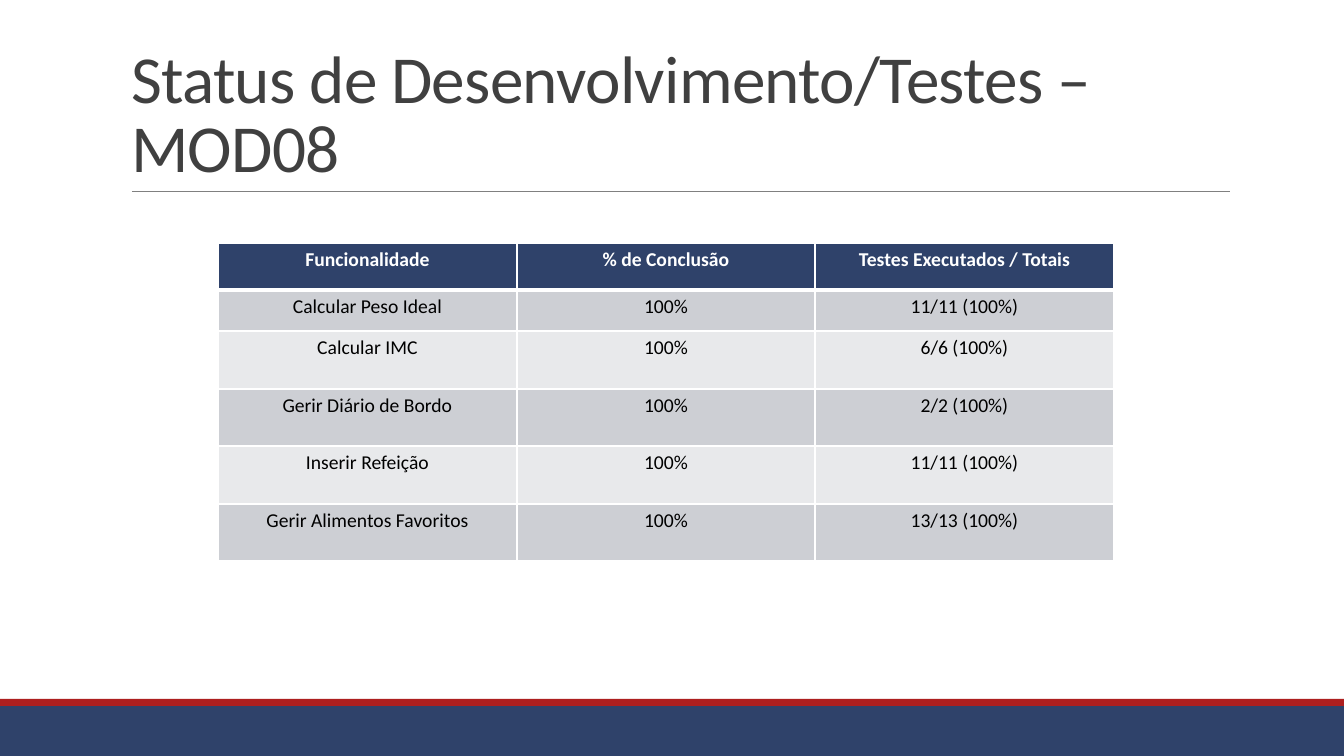
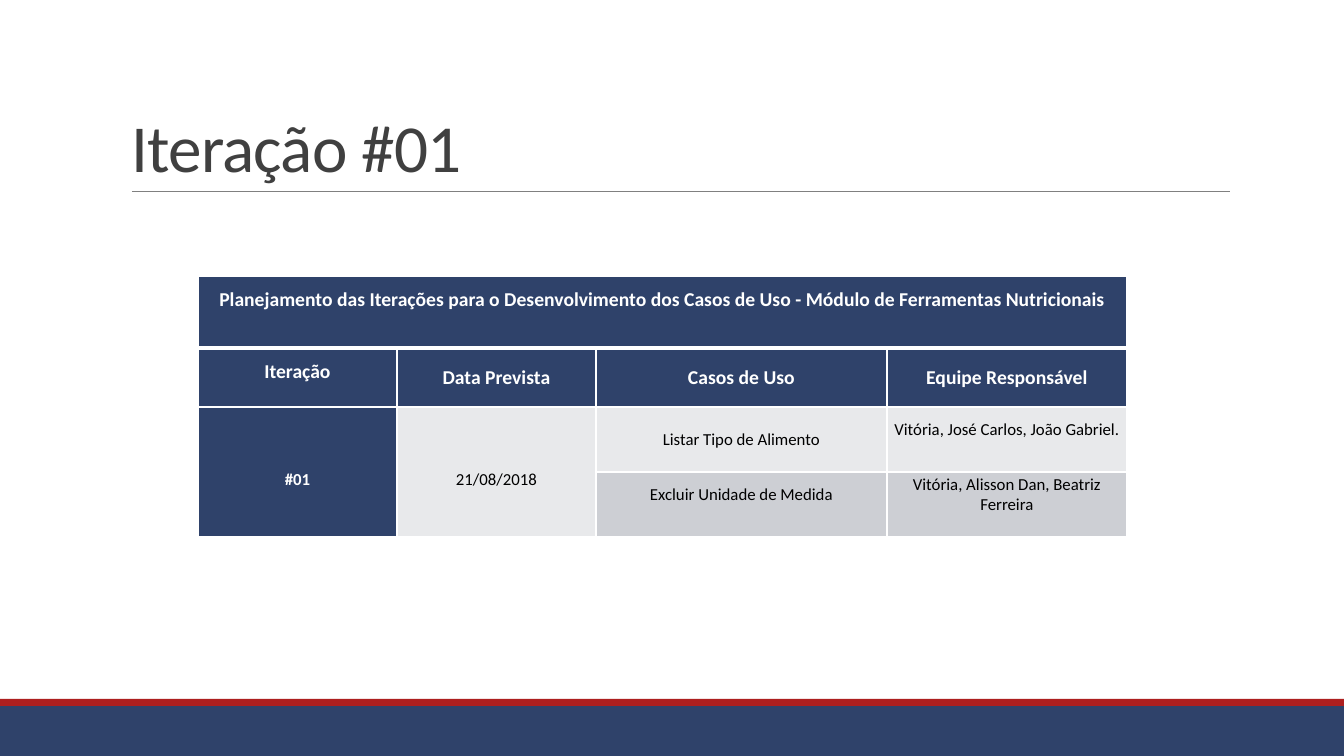
from dataclasses import dataclass
from typing import Optional

from lxml import etree
from pptx import Presentation
from pptx import util as u
from pptx.dml import color as colors
from pptx.enum import shapes, text
from pptx.oxml import ns

SLIDE_WIDTH, SLIDE_HEIGHT = 1344, 756
EMU_PER_PX = 12192000 / SLIDE_WIDTH
FONT = "Calibri"
NAVY, RED, RULE = "2F426A", "AD1F1F", "808080"
WHITE, BLACK, TITLE = "FFFFFF", "000000", "404040"
DARK_BAND, LIGHT_BAND = "CDCFD4", "E8E9EB"
TOP, MIDDLE, BOTTOM = text.MSO_ANCHOR.TOP, text.MSO_ANCHOR.MIDDLE, text.MSO_ANCHOR.BOTTOM


@dataclass(frozen=True)
class Band:
    top: int
    height: int
    fill: str


@dataclass(frozen=True)
class Cell:
    text: str
    fill: str
    size: int = 14
    anchor: text.MSO_ANCHOR = TOP
    margins: tuple[int, int, int, int] = (10, 5, 10, 5)
    spacing: float = 1.0
    row_span: int = 1
    column_span: int = 1


@dataclass(frozen=True)
class Grid:
    left: int
    top: int
    widths: tuple[int, ...]
    heights: tuple[int, ...]
    rows: tuple[tuple[Optional[Cell], ...], ...]


BANDS = (Band(706, 50, NAVY), Band(699, 7, RED))


def px(length: int) -> u.Emu:
    return u.Emu(round(length * EMU_PER_PX))


def rgb(value: str) -> colors.RGBColor:
    return colors.RGBColor.from_string(value)


def add_span(para, words: str, size: int, color: str, bold: bool = False):
    span = para.add_run()
    span.text = words
    span.font.name = FONT
    span.font.size = u.Pt(size)
    span.font.bold = bold
    span.font.color.rgb = rgb(color)
    return span


def add_band(page, band: Band) -> None:
    box = page.shapes.add_shape(
        shapes.MSO_SHAPE.RECTANGLE, 0, px(band.top), px(SLIDE_WIDTH), px(band.height))
    box.shadow.inherit = False
    box.fill.solid()
    box.fill.fore_color.rgb = rgb(band.fill)
    box.line.fill.background()


def add_rule(page) -> None:
    rule = page.shapes.add_connector(
        shapes.MSO_CONNECTOR.STRAIGHT, px(132), px(191), px(1230), px(191))
    rule.line.color.rgb = rgb(RULE)
    rule.line.width = u.Pt(0.5)
    etree.SubElement(rule._element.spPr, ns.qn("a:effectLst"))


def add_page(deck, title: str):
    page = deck.slides.add_slide(deck.slide_layouts.get_by_name("Title Only"))
    for band in BANDS:
        add_band(page, band)
    add_rule(page)
    box = page.shapes.title
    box.left, box.top, box.width, box.height = px(121), px(31), px(1109), px(160)
    frame = box.text_frame
    frame.word_wrap = True
    frame.auto_size = text.MSO_AUTO_SIZE.NONE
    frame.vertical_anchor = BOTTOM
    para = frame.paragraphs[0]
    para.alignment = text.PP_ALIGN.LEFT
    para.line_spacing = 0.85
    span = add_span(para, title, 48, TITLE)
    span.font._element.set("spc", "-50")
    return page


def add_border(target, side: str, points: int) -> None:
    properties = target._tc.get_or_add_tcPr()
    line = etree.SubElement(properties, ns.qn(f"a:{side}"), w=str(u.Pt(points)))
    fill = etree.SubElement(line, ns.qn("a:solidFill"))
    etree.SubElement(fill, ns.qn("a:srgbClr"), val=WHITE)


def fill_cell(target, cell: Cell) -> None:
    target.fill.solid()
    target.fill.fore_color.rgb = rgb(cell.fill)
    target.vertical_anchor = cell.anchor
    (target.margin_left, target.margin_top,
     target.margin_right, target.margin_bottom) = map(px, cell.margins)
    para = target.text_frame.paragraphs[0]
    para.alignment = text.PP_ALIGN.CENTER
    para.line_spacing = cell.spacing
    heading = cell.fill == NAVY
    add_span(para, cell.text, cell.size, WHITE if heading else BLACK, heading)


def add_grid(page, grid: Grid) -> None:
    table = page.shapes.add_table(
        len(grid.heights), len(grid.widths), px(grid.left), px(grid.top),
        px(sum(grid.widths)), px(sum(grid.heights))).table
    for column, width in zip(table.columns, grid.widths):
        column.width = px(width)
    for row, height in zip(table.rows, grid.heights):
        row.height = px(height)
    for i, cells in enumerate(grid.rows):
        for j, cell in enumerate(cells):
            target = table.cell(i, j)
            add_border(target, "lnR", 1)
            add_border(target, "lnB", 3 if i == 0 else 1)
            if cell is None:
                continue
            if cell.row_span > 1 or cell.column_span > 1:
                target.merge(table.cell(i + cell.row_span - 1, j + cell.column_span - 1))
            fill_cell(target, cell)


def status_grid() -> Grid:
    header = ("Funcionalidade", "% de Conclusão", "Testes Executados / Totais")
    results = (
        ("Calcular Peso Ideal", "11/11 (100%)"),
        ("Calcular IMC", "6/6 (100%)"),
        ("Gerir Diário de Bordo", "2/2 (100%)"),
        ("Inserir Refeição", "11/11 (100%)"),
        ("Gerir Alimentos Favoritos", "13/13 (100%)"),
    )
    rows = [tuple(Cell(label, NAVY) for label in header)]
    for i, (feature, tests) in enumerate(results):
        fill = LIGHT_BAND if i % 2 else DARK_BAND
        rows.append(tuple(Cell(words, fill) for words in (feature, "100%", tests)))
    return Grid(218, 243, (299, 298, 299), (47, 41, 58, 57, 58, 57), tuple(rows))


def iteration_grid() -> Grid:
    tight, raised, lowered = (1, 1, 1, 0), (1, 1, 1, 20), (7, 16, 7, 0)

    def heading(words: str) -> Cell:
        return Cell(words, NAVY, anchor=MIDDLE, margins=tight)

    def detail(words: str, fill: str, margins: tuple[int, int, int, int]) -> Cell:
        return Cell(words, fill, 12, MIDDLE, margins)

    def tall(words: str, fill: str) -> Cell:
        return Cell(words, fill, 12, MIDDLE, lowered, row_span=2)

    rows = (
        (Cell("Planejamento das Iterações para o Desenvolvimento dos Casos de Uso"
              " - Módulo de Ferramentas Nutricionais",
              NAVY, margins=(7, 0, 7, 0), spacing=1.5, column_span=4), None, None, None),
        (Cell("Iteração", NAVY, anchor=BOTTOM, margins=(1, 1, 1, 23)),
         heading("Data Prevista"), heading("Casos de Uso"), heading("Equipe Responsável")),
        (tall("#01", NAVY), tall("21/08/2018", LIGHT_BAND),
         detail("Listar Tipo de Alimento", LIGHT_BAND, tight),
         detail("Vitória, José Carlos, João Gabriel.", LIGHT_BAND, raised)),
        (None, None, detail("Excluir Unidade de Medida", DARK_BAND, raised),
         detail("Vitória, Alisson Dan, Beatriz Ferreira", DARK_BAND, raised)),
    )
    return Grid(198, 276, (199, 199, 291, 240), (72, 59, 65, 65), rows)


def main() -> None:
    deck = Presentation()
    deck.slide_width, deck.slide_height = px(SLIDE_WIDTH), px(SLIDE_HEIGHT)
    add_grid(add_page(deck, "Status de Desenvolvimento/Testes – MOD08"), status_grid())
    add_grid(add_page(deck, "Iteração #01"), iteration_grid())
    deck.save("out.pptx")


if __name__ == "__main__":
    main()
